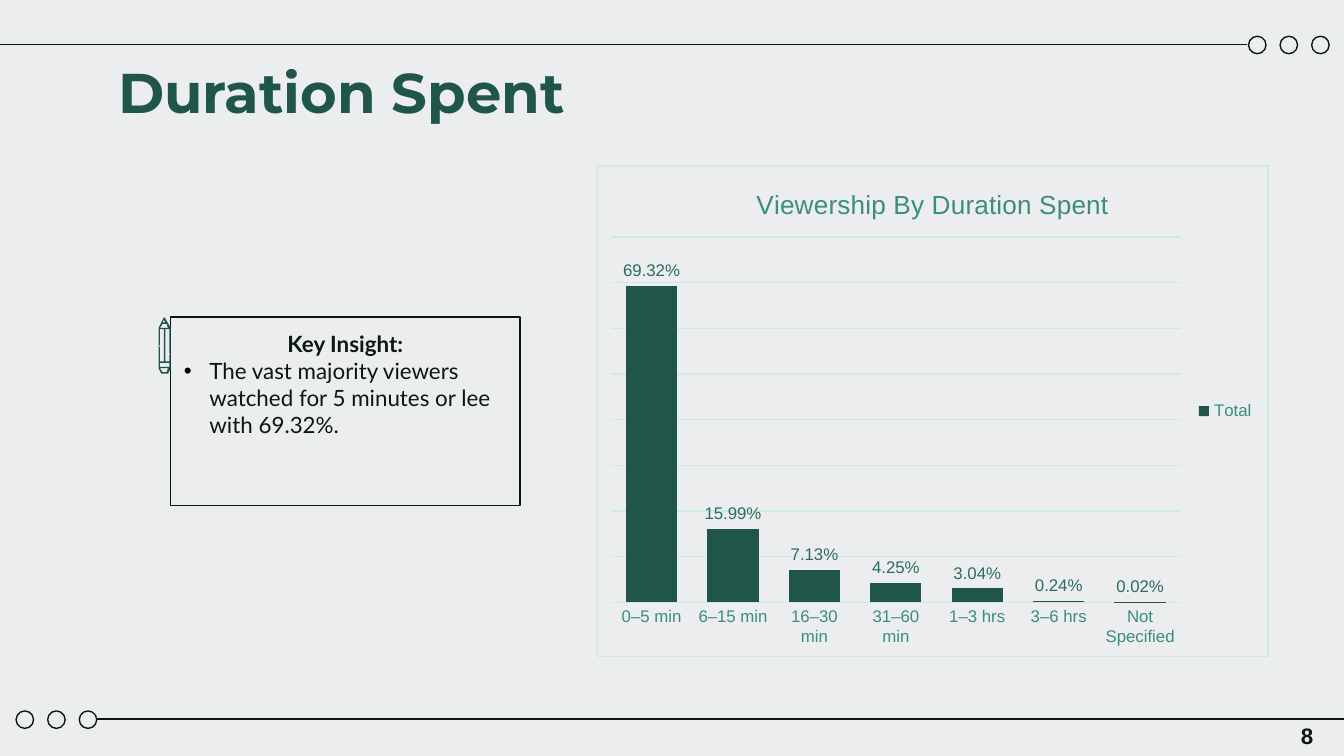
from lxml import etree
from pptx import Presentation
from pptx import util as u
from pptx.chart.data import CategoryChartData
from pptx.dml.color import RGBColor
from pptx.enum import chart as charts, shapes, text
from pptx.oxml import parse_xml
from pptx.oxml.ns import nsdecls, qn

INK, GREEN, TEAL, MINT, PAPER = "0A1815", "205549", "3B8E7C", "CDEAE4", "EBEDEE"
LABEL = "2D6C5E"
ALIGN = text.PP_ALIGN


def color(value):
    return RGBColor.from_string(value)


def set_font(font, name, size, ink, bold=False):
    font.name, font.size, font.bold = name, u.Pt(size), bold
    font.color.rgb = color(ink)


def set_line(line, ink):
    line.color.rgb = color(ink)
    line.width = u.Pt(0.75)


class Page:
    def __init__(self, deck):
        self.slide = deck.slides.add_slide(deck.slide_layouts[5])
        self.shapes = self.slide.shapes
        fill = self.slide.background.fill
        fill.solid()
        fill.fore_color.rgb = color(PAPER)

    def fill_text(self, box, lines, name, size, ink, anchor, inset=0.1):
        frame = box.text_frame
        frame.text = "\n".join(line for line, _, _ in lines)
        frame.word_wrap = True
        frame.auto_size = text.MSO_AUTO_SIZE.NONE
        frame.vertical_anchor = anchor
        frame.margin_left = frame.margin_right = u.Inches(0.1)
        frame.margin_top = frame.margin_bottom = u.Inches(inset)
        for para, (_, align, bold) in zip(frame.paragraphs, lines):
            para.alignment = align
            for span in para.runs:
                set_font(span.font, name, size, ink, bold)
        return frame

    def title(self, words, *place):
        box = self.shapes.title
        box.left, box.top, box.width, box.height = map(u.Inches, place)
        self.fill_text(box, [(words, ALIGN.LEFT, True)], "Montserrat", 30, GREEN,
                       text.MSO_ANCHOR.TOP)

    def outline(self, kind, *place):
        shape = self.shapes.add_shape(kind, *map(u.Inches, place))
        shape.shadow.inherit = False
        shape.fill.background()
        set_line(shape.line, INK)
        return shape

    def rule(self, start, end, y):
        rule = self.shapes.add_connector(shapes.MSO_CONNECTOR.STRAIGHT,
                                         *map(u.Inches, (start, y, end, y)))
        set_line(rule.line, INK)
        etree.SubElement(rule._element.spPr, qn("a:effectLst"))

    def circles(self, left, top):
        for i in range(3):
            self.outline(shapes.MSO_SHAPE.OVAL, left + i * 0.235, top, 0.13, 0.13)

    def insight(self, heading, point, *place):
        box = self.outline(shapes.MSO_SHAPE.RECTANGLE, *place)
        lines = [(heading, ALIGN.CENTER, True), (point, ALIGN.LEFT, False)]
        frame = self.fill_text(box, lines, "Lato", 12, INK, text.MSO_ANCHOR.TOP)
        props = frame.paragraphs[1]._p.get_or_add_pPr()
        props.set("marL", str(u.Inches(0.19)))
        props.set("indent", str(-u.Inches(0.19)))
        tint = etree.SubElement(props, qn("a:buClr"))
        etree.SubElement(tint, qn("a:srgbClr"), val="000000")
        etree.SubElement(props, qn("a:buFont"), typeface="Arial")
        etree.SubElement(props, qn("a:buChar"), char="•")

    def icon(self, contours, ink):
        builder = None
        for contour in contours:
            first, *rest = [(u.Inches(x), u.Inches(y)) for x, y in contour]
            if builder is None:
                builder = self.shapes.build_freeform(*first)
            else:
                builder.move_to(*first)
            builder.add_line_segments(rest, close=True)
        shape = builder.convert_to_shape()
        shape.shadow.inherit = False
        shape.fill.solid()
        shape.fill.fore_color.rgb = color(ink)
        shape.line.fill.background()

    def column_chart(self, heading, name, values, *place):
        data = CategoryChartData(number_format="0.00%")
        data.categories = list(values)
        data.add_series(name, list(values.values()))
        frame = self.shapes.add_chart(charts.XL_CHART_TYPE.COLUMN_CLUSTERED,
                                      *map(u.Inches, place), data)
        chart = frame.chart
        set_font(chart.font, "Arial", 10, INK)
        chart.has_title = True
        chart.chart_title.text_frame.text = heading
        span = chart.chart_title.text_frame.paragraphs[0].runs[0]
        set_font(span.font, "Arial", 14, TEAL)

        chart.has_legend = True
        chart.legend.position = charts.XL_LEGEND_POSITION.RIGHT
        chart.legend.include_in_layout = False
        set_font(chart.legend.font, "Arial", 9, TEAL)

        categories = chart.category_axis
        categories.major_tick_mark = charts.XL_TICK_MARK.NONE
        categories.format.line.fill.background()
        set_font(categories.tick_labels.font, "Arial", 9, TEAL)
        scale = chart.value_axis
        scale.visible = False
        scale.minimum_scale, scale.maximum_scale, scale.major_unit = 0, 0.8, 0.1
        scale.has_major_gridlines = True
        set_line(scale.major_gridlines.format.line, MINT)

        plot = chart.plots[0]
        plot.gap_width = 59
        plot.vary_by_categories = False
        series = plot.series[0]
        series.format.fill.solid()
        series.format.fill.fore_color.rgb = color(GREEN)
        labels = series.data_labels
        labels.show_value = True
        labels.number_format, labels.number_format_is_linked = "0.00%", False
        labels.position = charts.XL_LABEL_POSITION.OUTSIDE_END
        set_font(labels.font, "Arial", 9, LABEL)
        self.frame_chart(chart, x=0.02, y=0.145, w=0.85, h=0.745)

    def frame_chart(self, chart, **layout):
        area = chart._chartSpace.chart.plotArea
        for old in area.findall(qn("c:layout")):
            area.remove(old)
        sizes = "".join(f'<c:{key} val="{value}"/>' for key, value in layout.items())
        area.insert(0, parse_xml(
            f'<c:layout {nsdecls("c")}><c:manualLayout><c:layoutTarget val="inner"/>'
            f'<c:xMode val="edge"/><c:yMode val="edge"/>{sizes}'
            '</c:manualLayout></c:layout>'))
        solid = '<a:solidFill><a:srgbClr val="{}"/></a:solidFill>'
        chart._chartSpace.chart.addnext(parse_xml(
            f'<c:spPr {nsdecls("c", "a")}>{solid.format(PAPER)}'
            f'<a:ln w="{u.Pt(0.75)}">{solid.format(MINT)}</a:ln></c:spPr>'))

    def number(self, words, *place):
        box = self.shapes.add_textbox(*map(u.Inches, place))
        self.fill_text(box, [(words, ALIGN.RIGHT, True)], "Arial", 12, INK,
                       text.MSO_ANCHOR.MIDDLE, 0.05)


def rectangle(left, top, right, bottom):
    return [(left, top), (right, top), (right, bottom), (left, bottom)]


PENCIL = [
    [(1.22, 2.36), (1.23, 2.37), (1.27, 2.44), (1.27, 2.74), (1.25, 2.78),
     (1.2, 2.78), (1.18, 2.74), (1.18, 2.44)],
    [(1.22, 2.38), (1.23, 2.4), (1.21, 2.4)],
    [(1.21, 2.41), (1.24, 2.41), (1.25, 2.44), (1.19, 2.44)],
    rectangle(1.19, 2.45, 1.22, 2.69),
    rectangle(1.23, 2.45, 1.26, 2.69),
    rectangle(1.19, 2.7, 1.26, 2.73),
    [(1.19, 2.74), (1.25, 2.74), (1.24, 2.77), (1.21, 2.77)],
    rectangle(1.18, 2.57, 1.19, 2.58),
    rectangle(1.26, 2.63, 1.27, 2.64),
]
VIEWERS = {"0–5 min": 0.6932, "6–15 min": 0.1599, "16–30 min": 0.0713,
           "31–60 min": 0.0425, "1–3 hrs": 0.0304, "3–6 hrs": 0.0024,
           "Not Specified": 0.0002}


def main():
    deck = Presentation()
    deck.slide_width = u.Inches(10)
    deck.slide_height = deck.slide_width * 9 // 16
    page = Page(deck)
    page.circles(0.12, 5.29)
    page.circles(9.29, 0.27)
    page.rule(0, 9.28, 0.33)
    page.rule(0.72, 10, 5.35)
    page.title("Duration Spent", 0.78, 0.33, 8.44, 0.63)
    page.insight("Key Insight:",
                 "The vast majority viewers watched for 5 minutes or lee with 69.32%.",
                 1.27, 2.36, 2.6, 1.4)
    page.icon(PENCIL, GREEN)
    page.column_chart("Viewership By Duration Spent", "Total", VIEWERS,
                      4.44, 1.23, 5, 3.66)
    page.number("8", 9.52, 5.32, 0.35, 0.3)
    deck.save("out.pptx")


if __name__ == "__main__":
    main()
